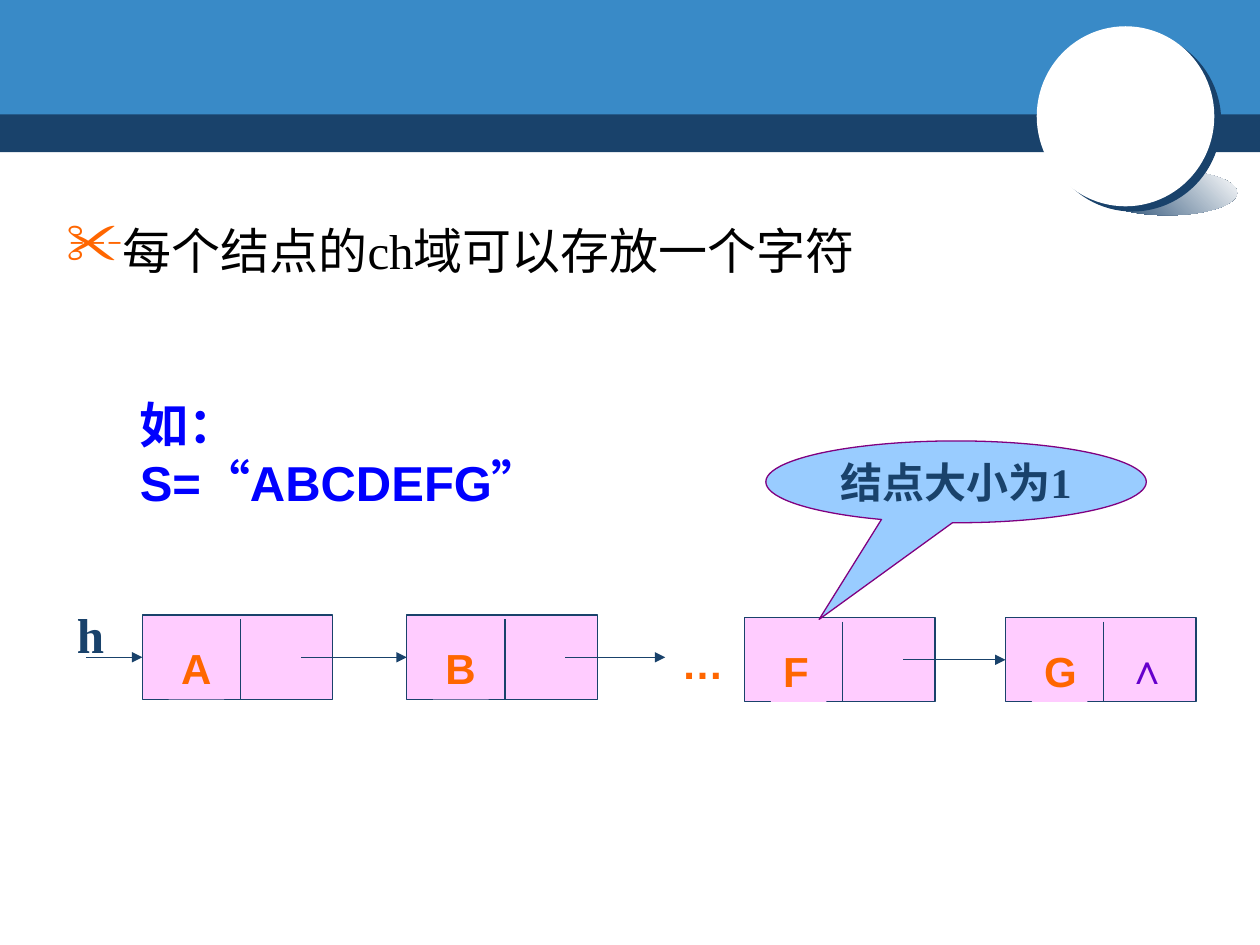
"""Builds a slide on linked strings whose nodes hold one character each."""
import pptx
import pptx.dml.color
import pptx.enum.shapes
import pptx.enum.text
import pptx.oxml
import pptx.oxml.ns
import pptx.util

Cm = pptx.util.Cm
Pt = pptx.util.Pt
SHAPE = pptx.enum.shapes.MSO_SHAPE
ALIGN = pptx.enum.text.PP_ALIGN
ANCHOR = pptx.enum.text.MSO_ANCHOR
NAVY, BLUE, WHITE, PINK, ORANGE = "19426B", "398AC7", "FFFFFF", "FFCCFF", "FF6600"
LEFT_SIDE = 1


def colour(code):
    return pptx.dml.color.RGBColor.from_string(code)


def add_xml(parent, tag, content="", attributes=""):
    namespace = pptx.oxml.ns.nsdecls("a")
    element = pptx.oxml.parse_xml(f"<a:{tag} {namespace} {attributes}>{content}</a:{tag}>")
    parent.append(element)


class Painter:
    def __init__(self, page):
        self.page = page
        self.line_width = Pt(0.75)

    def shape(self, kind, left, top, width, height, fill, line=None):
        shape = self.page.shapes.add_shape(kind, Cm(left), Cm(top), Cm(width), Cm(height))
        shape.shadow.inherit = False
        shape.fill.solid()
        shape.fill.fore_color.rgb = colour(fill)
        if line:
            shape.line.color.rgb = colour(line)
            shape.line.width = self.line_width
        else:
            shape.line.fill.background()
        return shape

    def caption(self, shape, text, size, ink, font="Arial", bold=True, wrap=False,
                align=ALIGN.LEFT, anchor=ANCHOR.TOP, bullet=None):
        frame = shape.text_frame
        frame.word_wrap = wrap
        frame.vertical_anchor = anchor
        paragraph = frame.paragraphs[0]
        paragraph.text = text
        paragraph.alignment = align
        if bullet:
            properties = paragraph._p.get_or_add_pPr()
            add_xml(properties, "buClr", f'<a:srgbClr val="{ORANGE}"/>')
            add_xml(properties, "buSzPct", attributes='val="120000"')
            add_xml(properties, "buChar", attributes=f'char="{bullet}"')
        paragraph.font.name = font
        paragraph.font.size = Pt(size)
        paragraph.font.bold = bold
        paragraph.font.color.rgb = colour(ink)

    def text(self, left, top, width, height, text, size, ink, **style):
        box = self.page.shapes.add_textbox(Cm(left), Cm(top), Cm(width), Cm(height))
        self.caption(box, text, size, ink, **style)

    def line(self, start, end, arrow=False, target=None):
        line = self.page.shapes.add_connector(
            pptx.enum.shapes.MSO_CONNECTOR.STRAIGHT, *map(Cm, start + end))
        if target is not None:
            line.end_connect(target, LEFT_SIDE)
        line.line.color.rgb = colour(NAVY)
        line.line.width = self.line_width
        if arrow:
            add_xml(line.line._get_or_add_ln(), "tailEnd", attributes='type="triangle"')
        add_xml(line._element.spPr, "effectLst")

    def node(self, left, top, letter):
        box = self.shape(SHAPE.RECTANGLE, left, top, 3.84, 1.7, PINK, NAVY)
        self.line((left + 1.98, top + 0.08), (left + 1.98, top + 1.7))
        label = self.shape(SHAPE.RECTANGLE, left + 0.53, top + 0.43, 1.12, 1.27, PINK)
        self.caption(label, letter, 24, ORANGE)
        return box

    def header(self):
        self.shape(SHAPE.RECTANGLE, 0, 2.21, 25.4, 0.86, NAVY)
        self.shape(SHAPE.RECTANGLE, 0, 0, 25.4, 2.31, BLUE)
        shade = self.shape(SHAPE.OVAL, 22.12, 3.43, 2.82, 0.91, NAVY)
        shade.fill.gradient()
        shade.fill.gradient_angle = 45
        for stop, code in zip(shade.fill.gradient_stops, (NAVY, WHITE)):
            stop.color.rgb = colour(code)
        disc = self.shape(SHAPE.OVAL, 20.9, 0.53, 3.58, 3.63, WHITE)
        add_xml(disc._element.spPr.find(pptx.oxml.ns.qn("a:effectLst")), "outerShdw",
                f'<a:srgbClr val="{NAVY}"/>',
                f'dist="{Pt(5)}" dir="2220000" algn="ctr" rotWithShape="0"')


def main():
    deck = pptx.Presentation()
    deck.slide_width, deck.slide_height = Cm(25.4), Cm(19.05)
    painter = Painter(deck.slides.add_slide(deck.slide_layouts[6]))
    painter.header()
    painter.text(2.57, 7.82, 10.41, 2.6, "如：\vS=“ABCDEFG”", 28, "0000FF", wrap=True)

    places = {"A": (2.87, 12.4), "B": (8.2, 12.4), "F": (15.01, 12.45), "G": (20.27, 12.45)}
    nodes = {letter: painter.node(*place, letter) for letter, place in places.items()}
    for letter, following in (("A", "B"), ("B", None), ("F", "G")):
        left, top = places[letter]
        middle = top + 0.85
        painter.line((left + 3.2, middle), (left + 5.21, middle), True, nodes.get(following))
    painter.text(13.49, 12.73, 1.35, 1.27, "…", 24, ORANGE)
    painter.text(22.45, 12.83, 1.35, 1.27, "∧", 24, "6600CC")
    painter.text(1.3, 12.07, 1.04, 1.45, "h", 28, NAVY, font="Times New Roman")
    painter.line((1.73, 13.25), (2.87, 13.25), True, nodes["A"])

    callout = painter.shape(SHAPE.OVAL_CALLOUT, 15.44, 8.89, 7.67, 1.65, "99CCFF", "800080")
    callout.adjustments[0], callout.adjustments[1] = -0.36, 1.68
    painter.caption(callout, "结点大小为1", 24, NAVY, font="Times New Roman", wrap=True,
                    align=ALIGN.CENTER, anchor=ANCHOR.MIDDLE)
    painter.text(1.09, 4.32, 22.68, 1.45, "每个结点的ch域可以存放一个字符", 28, "000000",
                 font="Times New Roman", bold=False, wrap=True, bullet="✂")
    deck.save("out.pptx")


if __name__ == "__main__":
    main()
